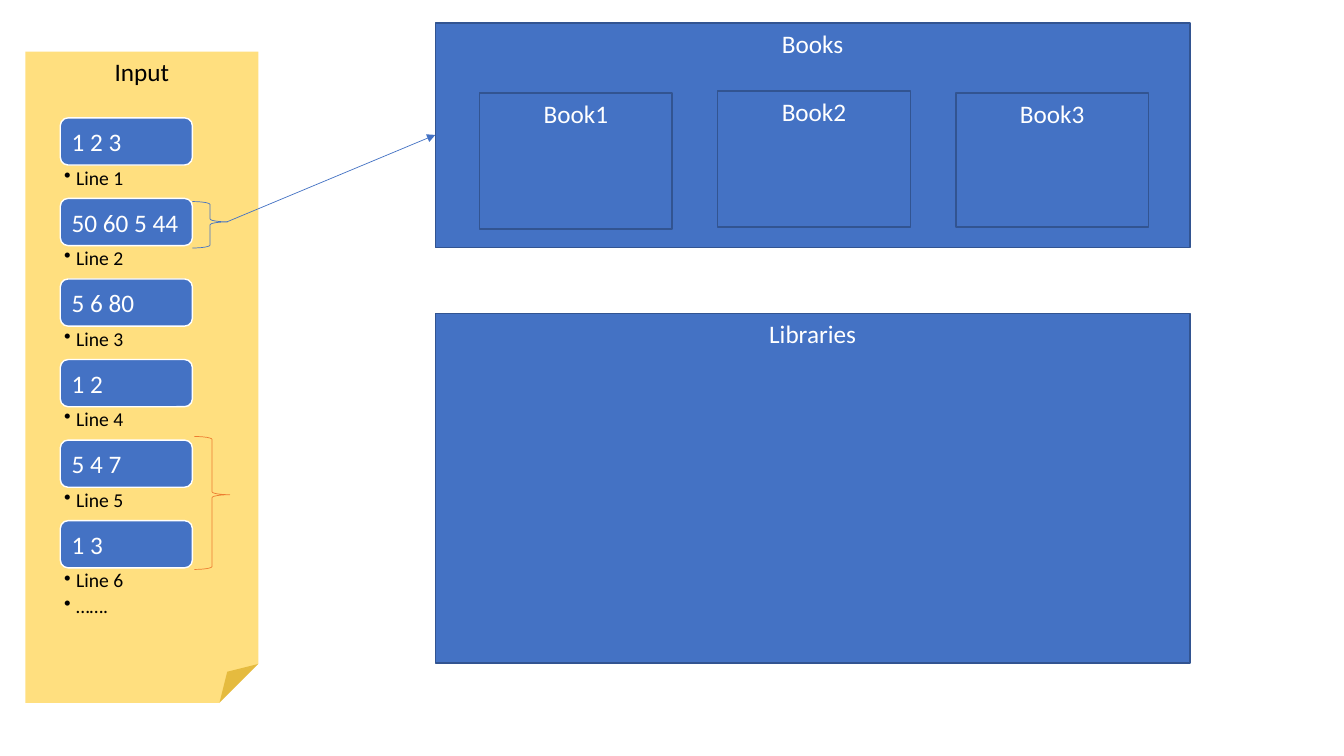
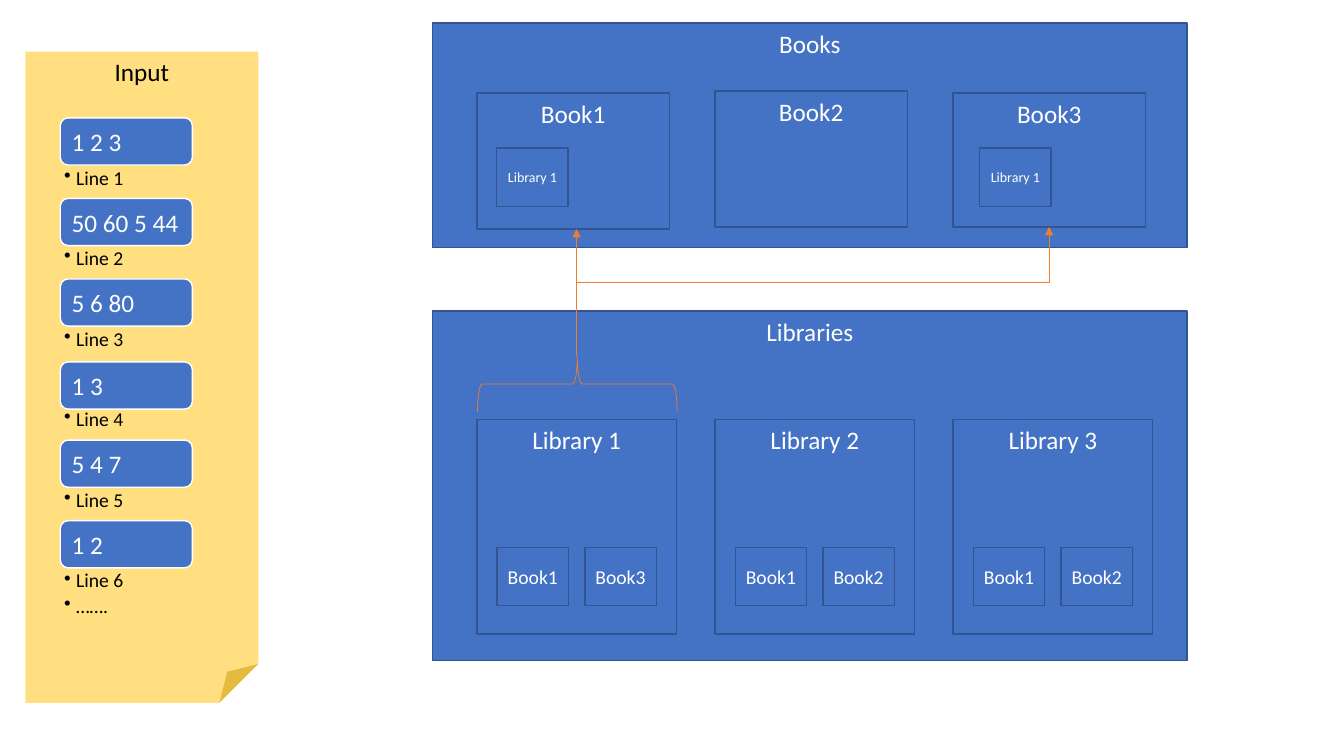
from lxml import etree
from pptx import Presentation
from pptx.dml.color import RGBColor
from pptx.enum.shapes import MSO_CONNECTOR, MSO_SHAPE
from pptx.enum.text import MSO_ANCHOR, PP_ALIGN
from pptx.oxml.ns import qn
from pptx.util import Cm, Pt

RECT, ROUND = MSO_SHAPE.RECTANGLE, MSO_SHAPE.ROUNDED_RECTANGLE
FOLD, BRACE = MSO_SHAPE.FOLDED_CORNER, MSO_SHAPE.RIGHT_BRACE
LINE, ELBOW = MSO_CONNECTOR.STRAIGHT, MSO_CONNECTOR.ELBOW
TOP, MID = MSO_ANCHOR.TOP, MSO_ANCHOR.MIDDLE
LEFT, MIDST = PP_ALIGN.LEFT, PP_ALIGN.CENTER

BLUE = RGBColor(0x44, 0x72, 0xC4)
NAVY = RGBColor(0x32, 0x54, 0x91)
GOLD = RGBColor(0xFF, 0xC0, 0x00)
RUST = RGBColor(0xED, 0x7D, 0x31)
WHITE = RGBColor(0xFF, 0xFF, 0xFF)
BLACK = RGBColor(0, 0, 0)

FONT = "Calibri"
PAD = (0.25, 0.13, 0.25, 0.13)
HEAD = dict(size=18, color=WHITE, align=MIDST, anchor=TOP, pad=PAD)
STEP = dict(size=18, color=WHITE, align=LEFT, anchor=MID,
            pad=(0.23, 0.1, 0.1, 0.1))
ITEM = dict(size=14, color=BLACK, align=LEFT, anchor=TOP,
            pad=(0.1, 0.08, 0.3, 0.08))
CHIP = dict(size=14, color=WHITE, align=MIDST, anchor=MID, pad=(0, 0, 0, 0))
TAG = {**CHIP, "size": 10}
TITLE = {**HEAD, "color": BLACK}

NOTE = (0.64, 1.3, 5.87, 16.41)
WIDE, PITCH, INSET = 19.02, 6, 1.12
BOOKS = [("Book1", 2.34, 3.43), ("Book2", 2.29, 3.43), ("Book3", 2.34, 3.38)]
SHELVES = [("Library 1", ["Book1", "Book3"]),
           ("Library 2", ["Book1", "Book2"]),
           ("Library 3", ["Book1", "Book2"])]
CELL = (1.8, 1.47)
TAGS = [(12.52, 3.73), (24.69, 3.73)]

SLIDES = [
    dict(lines=["1 2 3", "50 60 5 44", "5 6 80", "1 2", "5 4 7", "1 3"],
         drop={}, left=10.97, low=7.9, shelves=[], tags=[],
         braces=[((4.85, 5.08, 0.89, 1.17), BLUE, 0.438, 0),
                 ((4.9, 11, 0.89, 3.35), RUST, 0.438, 0)],
         arrows=[((5.72, 5.59), (10.97, 3.4), BLUE)], bends=[]),
    dict(lines=["1 2 3", "50 60 5 44", "5 6 80", "1 3", "5 4 7", "1 2"],
         drop={3: 0.06}, left=10.9, low=7.84, shelves=SHELVES, tags=TAGS,
         braces=[((13.84, 7.16, 1.42, 5.03), RUST, 0.5, 270)],
         arrows=[((14.53, 8.97), (14.53, 5.77), RUST)],
         bends=[((14.53, 8.97), (26.44, 5.72), RUST, 57400)]),
]


def write(shape, texts, style):
    frame = shape.text_frame
    sides = ("margin_left", "margin_top", "margin_right", "margin_bottom")
    look = {"word_wrap": True, "vertical_anchor": style["anchor"]}
    look.update(zip(sides, map(Cm, style["pad"])))
    for name, value in look.items():
        setattr(frame, name, value)
    for i, text in enumerate(texts):
        para = frame.add_paragraph() if i else frame.paragraphs[0]
        para.alignment = style["align"]
        run = para.add_run()
        run.text = text
        face = {"name": FONT, "size": Pt(style["size"])}
        for name, value in face.items():
            setattr(run.font, name, value)
        run.font.color.rgb = style["color"]


def draw(slide, kind, box, fill=None, edge=None, width=1):
    shape = slide.shapes.add_shape(kind, *map(Cm, box))
    shape.shadow.inherit = False
    if fill is None:
        shape.fill.background()
    else:
        shape.fill.solid()
        shape.fill.fore_color.rgb = fill
    if edge is None:
        shape.line.fill.background()
    else:
        shape.line.color.rgb = edge
        shape.line.width = Pt(width)
    return shape


def block(slide, box, text, style=HEAD):
    write(draw(slide, RECT, box, BLUE, NAVY), [text], style)


def link(slide, kind, start, end, color):
    line = slide.shapes.add_connector(kind, *map(Cm, start + end))
    line.line.color.rgb = color
    line.line.width = Pt(0.5)
    props = line.element.spPr
    etree.SubElement(props.find(qn("a:ln")), qn("a:tailEnd"), type="triangle")
    etree.SubElement(props, qn("a:effectLst"))
    return line


def bend(slide, start, end, color, turn):
    (x1, y1), (x2, y2) = start, end
    mx, my = (x1 + x2) / 2, (y1 + y2) / 2
    dx, dy = (y1 - y2) / 2, (x2 - x1) / 2
    line = link(slide, ELBOW, (mx + dx, my + dy), (mx - dx, my - dy), color)
    props = line.element.spPr
    props.find(qn("a:xfrm")).set("rot", "5400000")
    geom = props.find(qn("a:prstGeom"))
    marks = geom.find(qn("a:avLst"))
    if marks is None:
        marks = etree.SubElement(geom, qn("a:avLst"))
    etree.SubElement(marks, qn("a:gd"), name="adj1", fmla=f"val {turn}")


def bullet(para):
    para.line_spacing = 0.9
    para.space_after = Pt(3)
    props = para._p.get_or_add_pPr()
    props.set("marL", str(Cm(0.3)))
    props.set("indent", str(-Cm(0.3)))
    etree.SubElement(props, qn("a:buChar"), char="•")


def note(slide, lines, drop):
    card = draw(slide, FOLD, NOTE, GOLD)
    tint = card.element.spPr.find(qn("a:solidFill"))[0]
    etree.SubElement(tint, qn("a:alpha"), val="50000")
    title = slide.shapes.title
    title.element.addprevious(card.element)
    spot = dict(zip(("left", "top", "width", "height"),
                    map(Cm, NOTE[:3] + (1.2,))))
    for name, value in spot.items():
        setattr(title, name, value)
    write(title, ["Input"], TITLE)
    for i, line in enumerate(lines):
        top = 2.97 + 2.03 * i
        box = (1.52, top + drop.get(i, 0), 3.33, 1.19)
        write(draw(slide, ROUND, box, BLUE, WHITE), [line], STEP)
        items = [f"Line {i + 1}"]
        if i == len(lines) - 1:
            items.append("…….")
        area = (1.52, top + 1.19, 3.33, 0.84 * len(items))
        text = slide.shapes.add_textbox(*map(Cm, area))
        write(text, items, ITEM)
        for para in text.text_frame.paragraphs:
            bullet(para)


def build(deck, data):
    slide = deck.slides.add_slide(deck.slide_layouts[5])
    note(slide, data["lines"], data["drop"])
    left = data["left"]
    block(slide, (left, 0.58, WIDE, 5.66), "Books")
    for i, (name, top, high) in enumerate(BOOKS):
        block(slide, (left + INSET + PITCH * i, top, 4.85, high), name)
    block(slide, (left, data["low"], WIDE, 8.81), "Libraries")
    for i, (name, books) in enumerate(data["shelves"]):
        x = left + INSET + PITCH * i
        block(slide, (x, 10.57, 5.03, 5.41), name)
        for j, book in enumerate(books):
            block(slide, (x + 0.51 + 2.21 * j, 13.79) + CELL, book, CHIP)
    for box, color, point, turn in data["braces"]:
        brace = draw(slide, BRACE, box, edge=color, width=0.5)
        brace.adjustments[0] = 0.083
        brace.adjustments[1] = point
        brace.rotation = turn
    for start, end, color in data["arrows"]:
        link(slide, LINE, start, end, color)
    for curve in data["bends"]:
        bend(slide, *curve)
    for spot in data["tags"]:
        block(slide, spot + CELL, "Library 1", TAG)


def main():
    deck = Presentation()
    deck.slide_width, deck.slide_height = Cm(33.87), Cm(19.05)
    for data in SLIDES:
        build(deck, data)
    deck.save("out.pptx")


if __name__ == "__main__":
    main()
